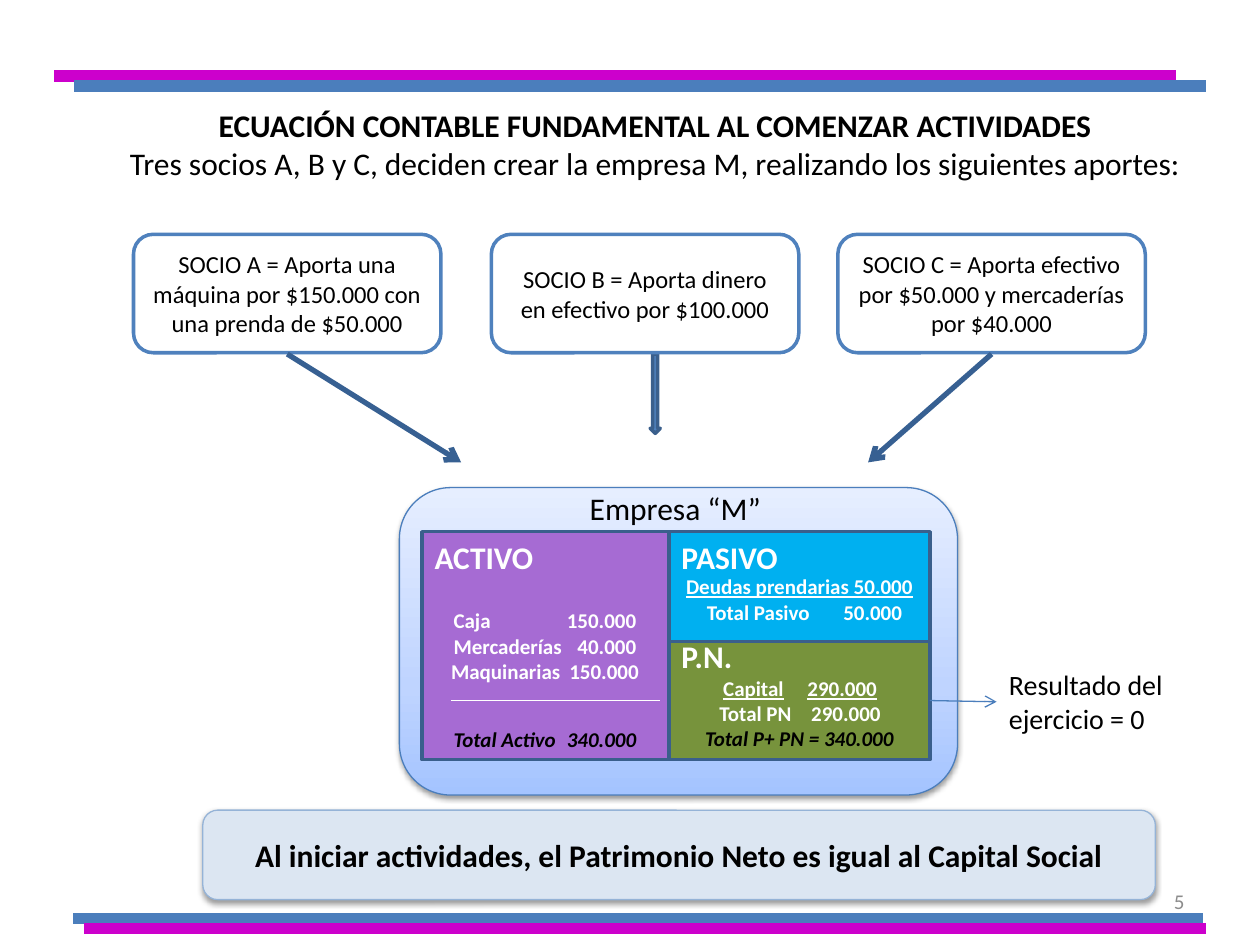
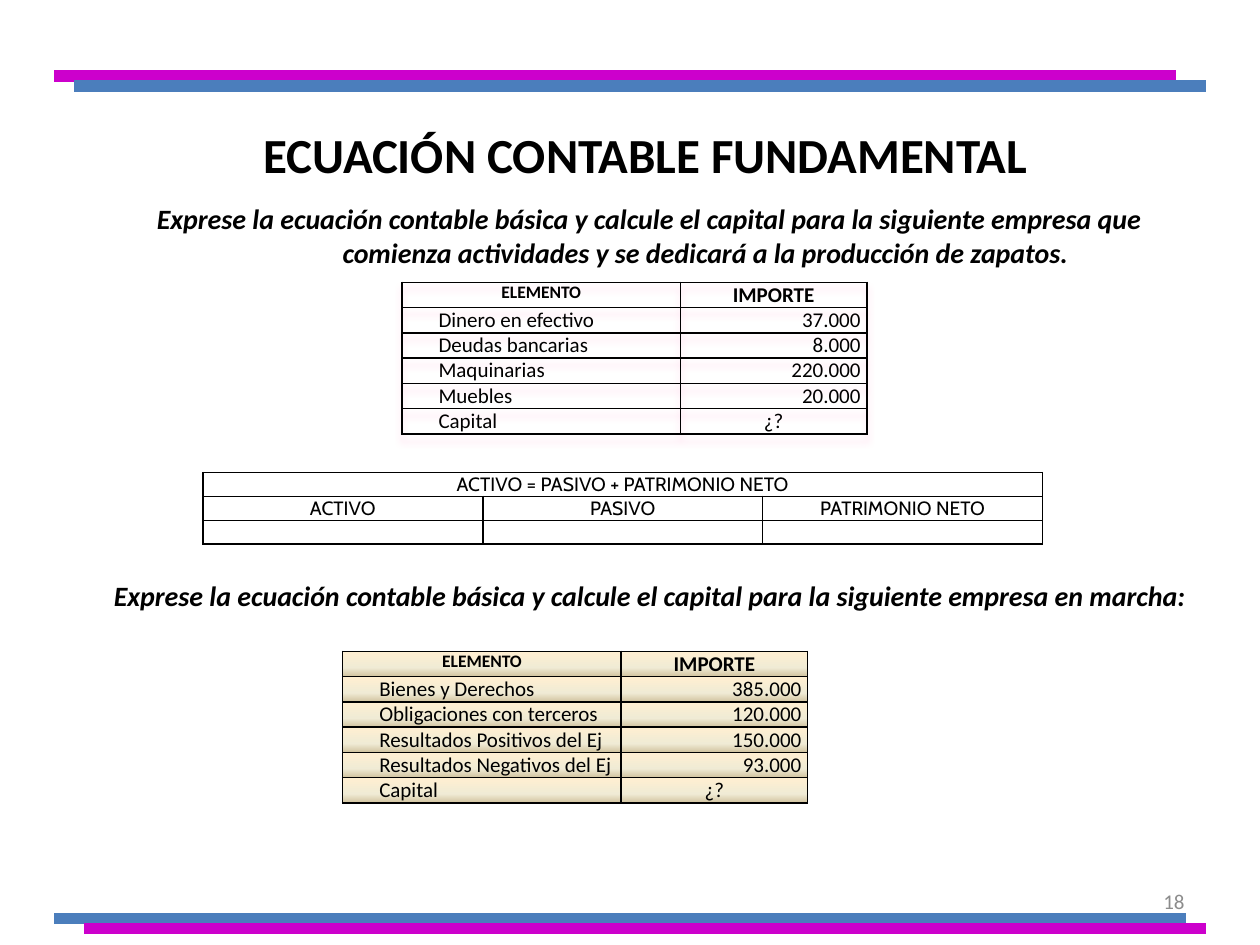
from lxml.etree import SubElement
from pptx import Presentation
from pptx.dml.color import RGBColor
from pptx.enum.shapes import MSO_CONNECTOR, MSO_SHAPE
from pptx.enum.text import MSO_ANCHOR, MSO_AUTO_SIZE, PP_ALIGN
from pptx.oxml.ns import qn
from pptx.util import Inches, Pt

WIDTH, HEIGHT = Inches(10), Inches(7.5)
COL, ROW = WIDTH / 100, HEIGHT / 75
FONT, TABLE_FONT = "Calibri", "Cabin"

BLACK = RGBColor(0x00, 0x00, 0x00)
WHITE = RGBColor(0xFF, 0xFF, 0xFF)
GREY = RGBColor(0x8C, 0x8C, 0x8C)
MAGENTA = RGBColor(0xCC, 0x00, 0xCC)
BAND_BLUE = RGBColor(0x4B, 0x7E, 0xBC)
BLUE = RGBColor(0x4F, 0x81, 0xBD)
ARROW_BLUE = RGBColor(0x37, 0x60, 0x92)
EDGE_BLUE = RGBColor(0x3A, 0x5F, 0x8C)
PALE_BLUE = RGBColor(0xDC, 0xE6, 0xF2)
SOFT_BLUE = RGBColor(0x95, 0xB3, 0xD7)
PURPLE = RGBColor(0xA6, 0x6B, 0xD3)
CYAN = RGBColor(0x00, 0xB0, 0xF0)
GREEN = RGBColor(0x77, 0x93, 0x3C)
PINK = RGBColor(0xFF, 0x99, 0xCC)
COMPANY_STOPS = [(0, RGBColor(0xA4, 0xC4, 0xFF)), (35, RGBColor(0xBF, 0xD4, 0xFF)),
                 (100, RGBColor(0xE6, 0xEE, 0xFF))]
SAND_STOPS = [(0, RGBColor(0xFF, 0xEF, 0xD1)), (65, RGBColor(0xF0, 0xEB, 0xD5)),
              (100, RGBColor(0xD1, 0xC3, 0x9F))]

LEFT, CENTER, RIGHT = PP_ALIGN.LEFT, PP_ALIGN.CENTER, PP_ALIGN.RIGHT


def grid(*cells):
    return [round(c * (ROW if i % 2 else COL)) for i, c in enumerate(cells)]


def add_run(p, text, size, color=BLACK, bold=False, italic=False, underline=False, font=FONT):
    r = p.add_run()
    r.text = text
    f = r.font
    f.name, f.size, f.bold, f.italic, f.underline = font, Pt(size), bold, italic, underline
    f.color.rgb = color


def set_indent(p, left, first=0):
    pPr = p._p.get_or_add_pPr()
    pPr.set("marL", str(round(left * COL)))
    pPr.set("indent", str(round(first * COL)))


def set_gradient(fill, props, stops, angle):
    fill.gradient()
    grad = props.find(qn("a:gradFill"))
    for child in list(grad):
        grad.remove(child)
    stop_list = SubElement(grad, qn("a:gsLst"))
    for pos, color in stops:
        gs = SubElement(stop_list, qn("a:gs"), pos=str(pos * 1000))
        SubElement(gs, qn("a:srgbClr"), val=str(color))
    SubElement(grad, qn("a:lin"), ang=str(angle * 60000), scaled="0")


def add_shadow(props, color=BLACK, alpha=38, blur=3.1, dist=1.6):
    effects = props.find(qn("a:effectLst"))
    if effects is None:
        effects = SubElement(props, qn("a:effectLst"))
    shadow = SubElement(effects, qn("a:outerShdw"), blurRad=str(Pt(blur)), dist=str(Pt(dist)),
                        dir="5400000", rotWithShape="0")
    clr = SubElement(shadow, qn("a:srgbClr"), val=str(color))
    SubElement(clr, qn("a:alpha"), val=str(alpha * 1000))
    return effects


def add_box(slide, kind, area, fill, edge, weight=2):
    sp = slide.shapes.add_shape(kind, *grid(*area))
    sp.shadow.inherit = False
    if isinstance(fill, RGBColor):
        sp.fill.solid()
        sp.fill.fore_color.rgb = fill
    else:
        set_gradient(sp.fill, sp._element.spPr, fill, 270)
    sp.line.color.rgb = edge
    sp.line.width = Pt(weight)
    sp.text_frame.word_wrap = True
    sp.text_frame.vertical_anchor = MSO_ANCHOR.MIDDLE
    return sp


def add_label(slide, area, text, size, align=LEFT, anchor=MSO_ANCHOR.TOP, **style):
    tf = slide.shapes.add_textbox(*grid(*area)).text_frame
    tf.word_wrap = True
    tf.vertical_anchor = anchor
    p = tf.paragraphs[0]
    p.alignment = align
    add_run(p, text, size, **style)
    return p


def add_line(slide, ends, color, weight, arrow=False):
    ln = slide.shapes.add_connector(MSO_CONNECTOR.STRAIGHT, *grid(*ends))
    ln.line.color.rgb = color
    ln.line.width = Pt(weight)
    SubElement(ln._element.spPr, qn("a:effectLst"))
    if arrow:
        SubElement(ln.line._get_or_add_ln(), qn("a:tailEnd"), type="arrow")


def add_frame(slide, number, low_band):
    add_label(slide, (71.7, 69.5, 23.3, 4), number, 12, RIGHT, MSO_ANCHOR.MIDDLE, color=GREY)
    for start, end, row, color in [(4.3, 93.3, 6, MAGENTA), (5.9, 95.7, 6.8, BAND_BLUE),
                                   (*low_band, 72.9, BAND_BLUE), (6.7, 95.7, 73.7, MAGENTA)]:
        add_line(slide, (start, row, end, row), color, 6.75)


def set_title(slide, area, size, heading, subtitle=None):
    title = slide.shapes.title
    title.left, title.top, title.width, title.height = grid(*area)
    tf = title.text_frame
    tf.auto_size = MSO_AUTO_SIZE.NONE
    tf.vertical_anchor = MSO_ANCHOR.MIDDLE
    p = tf.paragraphs[0]
    p.alignment = CENTER
    add_run(p, heading, size, bold=True)
    if subtitle:
        p.add_line_break()
        add_run(p, subtitle, size)


def add_entry(p, text, stops=None, **style):
    p.alignment = LEFT if stops else CENTER
    if stops:
        tabs = SubElement(p._p.get_or_add_pPr(), qn("a:tabLst"))
        for pos, algn in zip(stops, "lr"):
            SubElement(tabs, qn("a:tab"), pos=str(round(pos * COL)), algn=algn)
        add_run(p, "\t", 12)
    add_run(p, text, 12, bold=True, **style)


def add_account(slide, area, fill, heading, heading_row, drop, entries):
    sp = add_box(slide, MSO_SHAPE.RECTANGLE, area, fill, EDGE_BLUE)
    tf = sp.text_frame
    tf.margin_left = tf.margin_right = tf.margin_bottom = 0
    tf.margin_top = round(drop * ROW)
    for i, (text, stops, style) in enumerate(entries):
        p = tf.add_paragraph() if i else tf.paragraphs[0]
        add_entry(p, text, stops, **style)
    add_label(slide, (area[0], heading_row, 11.8, 4), heading, 18, color=WHITE, bold=True)


def add_grid_table(slide, corner, widths, row_height, rows):
    area = grid(*corner, sum(widths), row_height * rows)
    table = slide.shapes.add_table(rows, len(widths), *area).table
    table.first_row = table.horz_banding = False
    for column, width in zip(table.columns, widths):
        column.width = round(width * COL)
    for row in table.rows:
        row.height = round(row_height * ROW)
    for cell in table.iter_cells():
        cell.margin_left = cell.margin_right = Inches(0.05)
        cell.margin_top = cell.margin_bottom = 0
        tcPr = cell._tc.get_or_add_tcPr()
        for side in ("lnL", "lnR", "lnT", "lnB"):
            ln = SubElement(tcPr, qn(f"a:{side}"), w=str(Pt(1)))
            SubElement(SubElement(ln, qn("a:solidFill")), qn("a:srgbClr"), val=str(BLACK))
        cell.fill.background()
    return table


def set_cell(cell, text, align, size, **style):
    p = cell.text_frame.paragraphs[0]
    p.alignment = align
    if text:
        add_run(p, text, size, **style)
    else:
        SubElement(p._p, qn("a:endParaRPr"), sz=str(size * 100))
    return p


def add_amounts(slide, corner, items):
    table = add_grid_table(slide, corner, (22.1, 14.8), 2, len(items) + 2)
    set_cell(table.cell(0, 0), "ELEMENTO", CENTER, 10, bold=True)
    set_cell(table.cell(0, 1), "IMPORTE", CENTER, 12, bold=True)
    for i, (name, amount) in enumerate(items + [("Capital", "¿?")], 1):
        set_indent(set_cell(table.cell(i, 0), name, LEFT, 12), 2.4)
        set_cell(table.cell(i, 1), amount, CENTER if amount == "¿?" else RIGHT, 12)
    return table


def add_equation(slide):
    table = add_grid_table(slide, (16.1, 37.5), (22.22,) * 3, 1.9, 3)
    table.cell(0, 0).merge(table.cell(0, 2))
    set_cell(table.cell(0, 0), "ACTIVO = PASIVO + PATRIMONIO NETO", CENTER, 11, font=TABLE_FONT)
    for i, name in enumerate(["ACTIVO", "PASIVO", "PATRIMONIO NETO"]):
        set_cell(table.cell(1, i), name, CENTER, 11, font=TABLE_FONT)
        set_cell(table.cell(2, i), "", CENTER, 11)


def add_task(slide, area, text):
    set_indent(add_label(slide, area, text, 16, CENTER, bold=True, italic=True), 8.9, -8.9)


def build_start(slide):
    add_frame(slide, "5", (5.8, 95.5))
    set_title(slide, (9.1, 6.8, 85.8, 9.2), 18,
              "ECUACIÓN CONTABLE FUNDAMENTAL AL COMENZAR ACTIVIDADES",
              "Tres socios A, B y C, deciden crear la empresa M, realizando los siguientes aportes:")
    add_box(slide, MSO_SHAPE.DOWN_ARROW, (51.6, 28.1, 0.8, 6.3), BLUE, EDGE_BLUE)
    for col, text in [(10.6, "SOCIO A = Aporta una máquina por $150.000 con una prenda de $50.000"),
                      (39, "SOCIO B = Aporta dinero en efectivo por $100.000"),
                      (66.5, "SOCIO C = Aporta efectivo por $50.000 y mercaderías por $40.000")]:
        sp = add_box(slide, MSO_SHAPE.ROUNDED_RECTANGLE, (col, 18.6, 24.4, 9.4), WHITE, BLUE)
        p = sp.text_frame.paragraphs[0]
        p.alignment = CENTER
        add_run(p, text, 14)
    for start, end in [(22.8, 36.6), (78.7, 68.9)]:
        add_line(slide, (start, 28.1, end, 36.7), ARROW_BLUE, 3, arrow=True)

    company = add_box(slide, MSO_SHAPE.ROUNDED_RECTANGLE, (31.7, 38.7, 44.3, 24.4),
                      COMPANY_STOPS, BAND_BLUE, 0.75)
    add_shadow(company._element.spPr)
    plain = dict(color=WHITE)
    lined = dict(color=WHITE, underline=True)
    total = dict(color=BLACK, italic=True)
    add_account(slide, (33.5, 42.2, 19.7, 18.1), PURPLE, "ACTIVO", 42.2, 0, [
        ("Caja\t150.000", (2.5, 17), plain),
        ("Mercaderías\t40.000", (2.5, 17), plain),
        ("Maquinarias\t150.000", (2.3, 17.2), plain)])
    add_account(slide, (53.1, 42.2, 20.7, 8.7), CYAN, "PASIVO", 42.2, 2, [
        ("Deudas prendarias 50.000", None, lined),
        ("Total Pasivo\t50.000", (3, 18.5), plain)])
    add_account(slide, (53.1, 50.9, 20.7, 9.4), GREEN, "P.N.", 50.1, 2, [
        ("Capital\t290.000", (4.3, 16.5), lined),
        ("Total PN\t290.000", (4, 16.8), plain),
        ("Total P+ PN = 340.000", None, total)])
    tf = slide.shapes.add_textbox(*grid(33.5, 57.2, 19.7, 3)).text_frame
    tf.margin_left = tf.margin_right = 0
    tf.word_wrap = True
    add_entry(tf.paragraphs[0], "Total Activo\t340.000", (2.5, 17), **total)
    add_line(slide, (35.8, 55.6, 52.4, 55.6), WHITE, 0.75)
    add_label(slide, (40.6, 38.3, 26, 4), "Empresa “M”", 18, CENTER)
    add_label(slide, (79.1, 52.5, 15.7, 6.4), "Resultado del ejercicio = 0", 16)
    add_line(slide, (73.8, 55.6, 79.1, 55.7), BAND_BLUE, 0.75, arrow=True)

    sp = add_box(slide, MSO_SHAPE.ROUNDED_RECTANGLE, (16.1, 64.3, 75.6, 7.1),
                 PALE_BLUE, SOFT_BLUE, 0.75)
    add_shadow(sp._element.spPr)
    p = sp.text_frame.paragraphs[0]
    p.alignment = CENTER
    add_run(p, "Al iniciar actividades, el Patrimonio Neto es igual al Capital Social", 18, bold=True)


def build_exercises(slide):
    add_frame(slide, "18", (4.3, 94.1))
    set_title(slide, (8.3, 7.6, 85.8, 9.2), 28, "ECUACIÓN CONTABLE FUNDAMENTAL")
    add_task(slide, (11.4, 15.5, 80.3, 6.4),
             "Exprese la ecuación contable básica y calcule el capital para la siguiente empresa "
             "que comienza actividades y se dedicará a la producción de zapatos.")
    table = add_amounts(slide, (31.9, 22.4), [
        ("Dinero en efectivo", "37.000"), ("Deudas bancarias", "8.000"),
        ("Maquinarias", "220.000"), ("Muebles", "20.000")])
    tblPr = table._tbl.tblPr
    tblPr.insert(0, add_shadow(tblPr, PINK, 40, 4, 4))
    add_equation(slide)
    add_task(slide, (7.5, 45.4, 88.2, 3.7),
             "Exprese la ecuación contable básica y calcule el capital para la siguiente empresa "
             "en marcha:")
    table = add_amounts(slide, (27.2, 51.7), [
        ("Bienes y Derechos", "385.000"), ("Obligaciones con terceros", "120.000"),
        ("Resultados Positivos del Ej", "150.000"), ("Resultados Negativos del Ej", "93.000")])
    for cell in table.iter_cells():
        set_gradient(cell.fill, cell._tc.tcPr, SAND_STOPS, 90)


def main():
    prs = Presentation()
    prs.slide_width, prs.slide_height = WIDTH, HEIGHT
    for build in (build_start, build_exercises):
        build(prs.slides.add_slide(prs.slide_layouts[5]))
    prs.save("out.pptx")


if __name__ == "__main__":
    main()
